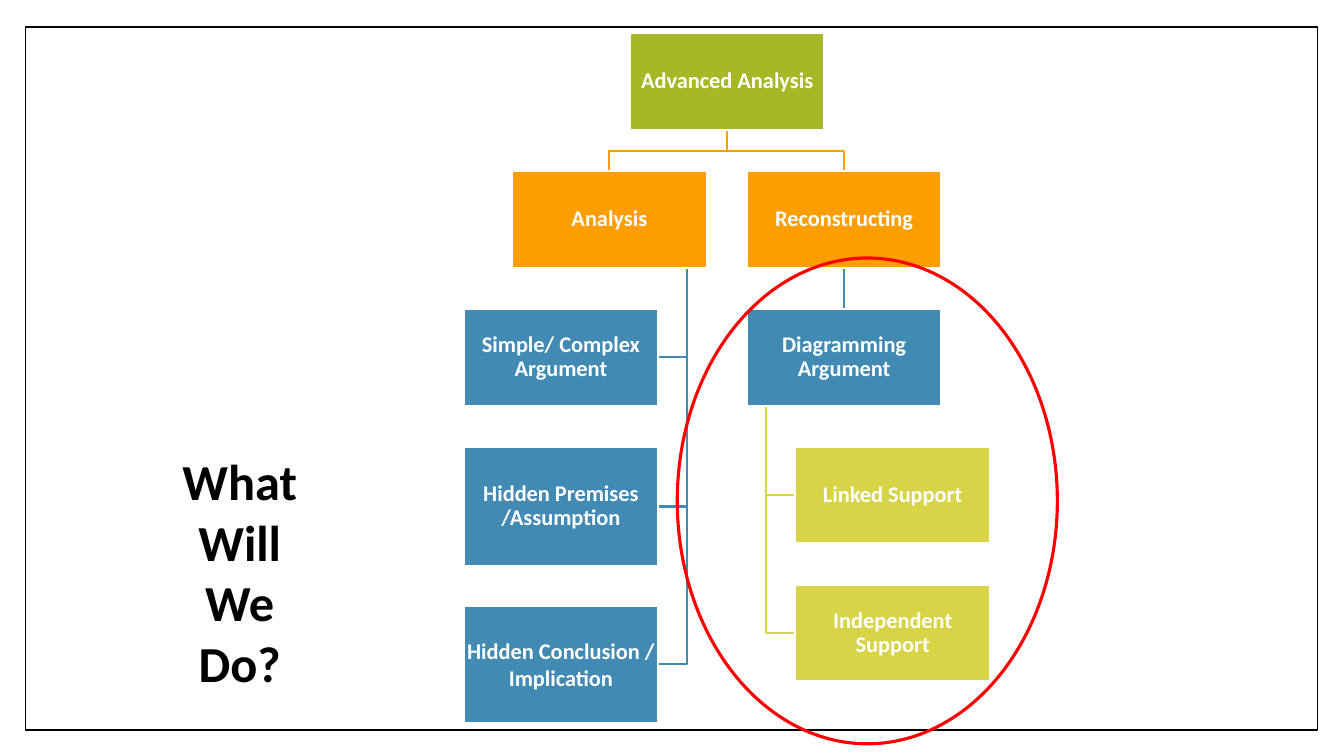
from dataclasses import dataclass

from pptx import Presentation
from pptx.dml.color import RGBColor
from pptx.enum import shapes, text
from pptx.util import Pt

BLACK = RGBColor(0x00, 0x00, 0x00)
WHITE = RGBColor(0xFF, 0xFF, 0xFF)
GREEN = RGBColor(0xA6, 0xB7, 0x27)
ORANGE = RGBColor(0xFE, 0x9E, 0x00)
BLUE = RGBColor(0x41, 0x8A, 0xB3)
LIME = RGBColor(0xD7, 0xD4, 0x47)
RED = RGBColor(0xFF, 0x00, 0x00)

FIRST_ROW, ROW_PITCH = 23.8, 98.5


@dataclass
class Box:
    label: str
    left: float
    row: float
    color: RGBColor
    height: float = 69
    spacing: float = 0.9
    width: float = 139

    @property
    def top(self):
        return FIRST_ROW + self.row * ROW_PITCH

    @property
    def bottom(self):
        return self.top + self.height

    @property
    def center(self):
        return self.left + self.width / 2

    @property
    def middle(self):
        return self.top + self.height / 2


class ChartSlide:
    font = "Calibri"

    def __init__(self, presentation):
        self.slide = presentation.slides.add_slide(presentation.slide_layouts[5])
        self.shapes = self.slide.shapes

    def outline(self, shape, color, width, fill=None):
        shape.shadow.inherit = False
        shape.line.color.rgb = color
        shape.line.width = Pt(width)
        if fill is None:
            shape.fill.background()
        else:
            shape.fill.solid()
            shape.fill.fore_color.rgb = fill

    def set_label(self, shape, label, size, color, spacing, **frame_format):
        frame = shape.text_frame
        frame.text = label
        frame_format = {"word_wrap": True, "auto_size": text.MSO_AUTO_SIZE.NONE,
                        **frame_format}
        for name, value in frame_format.items():
            setattr(frame, name, value)
        paragraph = frame.paragraphs[0]
        paragraph.alignment = text.PP_ALIGN.CENTER
        paragraph.line_spacing = spacing
        font = paragraph.runs[0].font
        for name, value in {"name": self.font, "size": Pt(size), "bold": True}.items():
            setattr(font, name, value)
        font.color.rgb = color

    def shape(self, kind, left, top, width, height, color, line_width, fill=None):
        shape = self.shapes.add_shape(kind, Pt(left), Pt(top), Pt(width), Pt(height))
        self.outline(shape, color, line_width, fill)
        return shape

    def box(self, box):
        shape = self.shape(shapes.MSO_SHAPE.RECTANGLE, box.left, box.top,
                           box.width, box.height, WHITE, 1.5, box.color)
        margins = {f"margin_{side}": Pt(1) for side in ("left", "top", "right", "bottom")}
        self.set_label(shape, box.label, 16, WHITE, box.spacing,
                       vertical_anchor=text.MSO_ANCHOR.MIDDLE, **margins)

    def bent_line(self, points, color):
        points = [(Pt(x), Pt(y)) for x, y in points]
        builder = self.shapes.build_freeform(*points[0])
        builder.add_line_segments(points[1:], close=False)
        self.outline(builder.convert_to_shape(), color, 1.5)

    def drop_link(self, parent, child):
        """Run from the parent's bottom to the top of the child."""
        start, end = (parent.center, parent.bottom), (child.center, child.top)
        bend = (parent.bottom + child.top) / 2
        turns = [] if start[0] == end[0] else [(start[0], bend), (end[0], bend)]
        self.bent_line([start, *turns, end], child.color)

    def side_link(self, parent, child):
        """Hang from a rail at the parent's edge to the near side of the child."""
        on_left = child.left < parent.left
        rail = parent.left + parent.width * (0.9 if on_left else 0.1)
        end = child.left + (child.width if on_left else 0)
        self.bent_line([(rail, parent.bottom), (rail, child.middle), (end, child.middle)],
                       child.color)

    def title(self, label, left, top, width, height):
        title = self.shapes.title
        place = {"left": left, "top": top, "width": width, "height": height}
        for name, value in place.items():
            setattr(title, name, Pt(value))
        self.set_label(title, label, 36, BLACK, 1.0,
                       vertical_anchor=text.MSO_ANCHOR.BOTTOM)
        title.text_frame._txBody.bodyPr.set("vert", "vert270")
        # Bring the title in front of what is drawn so far
        self.shapes._spTree.append(title._element)


def main():
    presentation = Presentation()
    presentation.slide_width, presentation.slide_height = Pt(960), Pt(540)
    chart = ChartSlide(presentation)

    # Frame
    chart.shape(shapes.MSO_SHAPE.RECTANGLE, 18, 19.4, 923, 502, BLACK, 1, WHITE)

    # Boxes of the hierarchy
    root = Box("Advanced Analysis", 450, 0, GREEN)
    analysis = Box("Analysis", 365.8, 1, ORANGE)
    reconstructing = Box("Reconstructing", 533.5, 1, ORANGE)
    diagramming = Box("Diagramming Argument", 533.5, 2, BLUE)
    analysis_parts = [
        Box("Simple/ Complex Argument", 331.2, 2, BLUE),
        Box("Hidden Premises /Assumption", 331.2, 3, BLUE, height=85),
        Box("Hidden Conclusion / Implication", 331.2, 4.15, BLUE, height=84, spacing=1.0),
    ]
    supports = [
        Box("Linked Support", 568.2, 3, LIME),
        Box("Independent Support", 568.2, 4, LIME),
    ]

    # Links, behind the boxes
    for support in supports:
        chart.side_link(diagramming, support)
    chart.drop_link(reconstructing, diagramming)
    for part in analysis_parts:
        chart.side_link(analysis, part)
    for branch in (reconstructing, analysis):
        chart.drop_link(root, branch)

    for box in [root, analysis, *analysis_parts, reconstructing, diagramming, *supports]:
        chart.box(box)

    # Title and highlight
    chart.title("What Will We Do?", 123, 71.3, 96.5, 430.5)
    chart.shape(shapes.MSO_SHAPE.OVAL, 483.8, 184.3, 271.5, 347, RED, 2.25)

    presentation.save("out.pptx")


if __name__ == "__main__":
    main()
